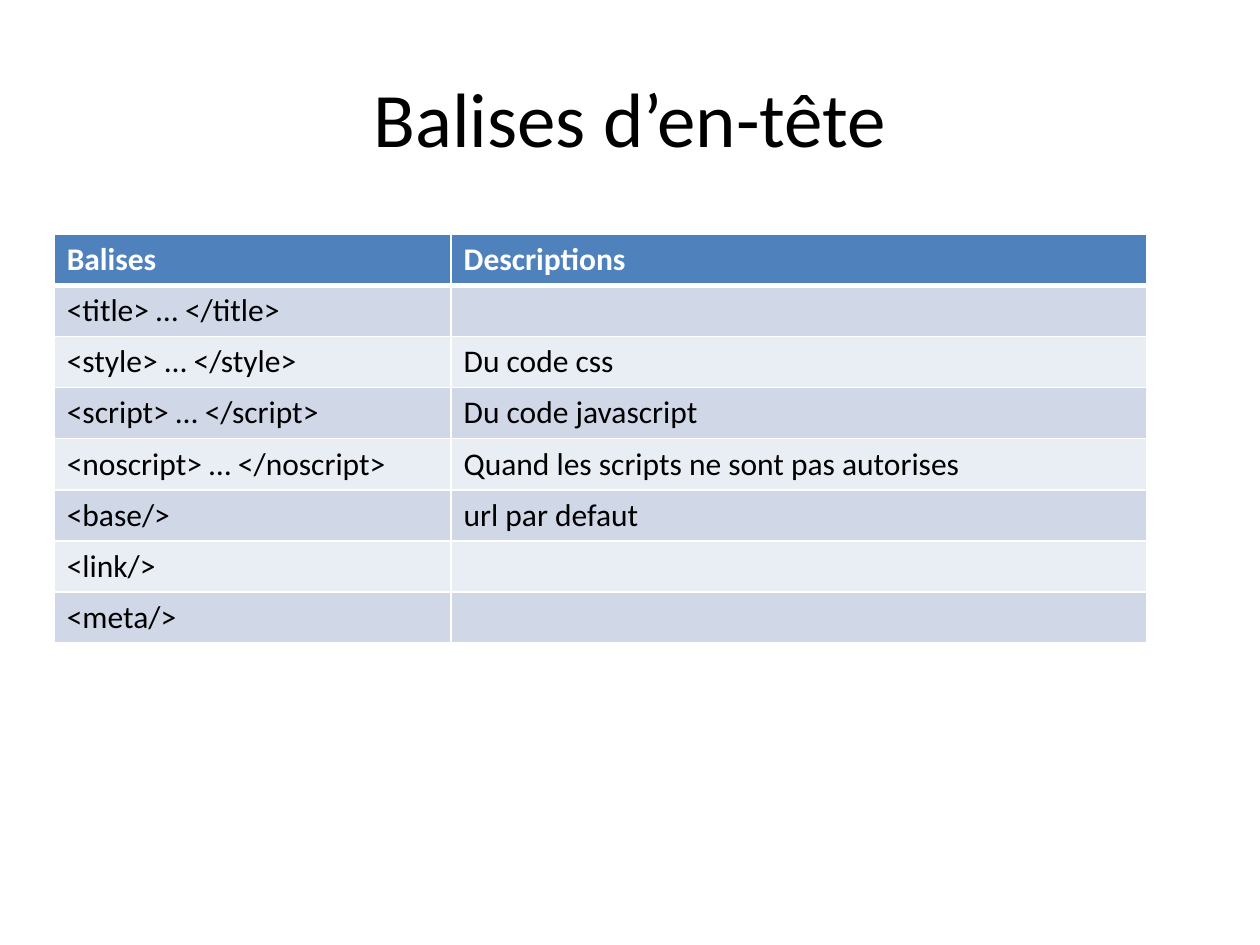
from dataclasses import dataclass

import pptx
import pptx.dml.color
import pptx.enum.text
import pptx.oxml.ns
import pptx.util
from lxml import etree

FONT = "Calibri"
COLORS = {
    "text": "000000",
    "header": "4F81BD",
    "header_text": "FFFFFF",
    "odd": "D0D8E8",
    "even": "E9EDF4",
    "rule": "FFFFFF",
}
ROW_HEIGHT = 3.24 / 8
COLUMN_WIDTHS = (3.15, 5.52)
TABLE_LEFT, TABLE_TOP = 0.43, 1.86


@dataclass
class Tag:
    markup: str
    description: str = ""


HEADER = Tag("Balises", "Descriptions")
TAGS = [
    Tag("<title> … </title>"),
    Tag("<style> … </style>", "Du code css"),
    Tag("<script> … </script>", "Du code javascript"),
    Tag("<noscript> … </noscript>", "Quand les scripts ne sont pas autorises"),
    Tag("<base/>", "url par defaut"),
    Tag("<link/>"),
    Tag("<meta/>"),
]


def rgb(name: str) -> pptx.dml.color.RGBColor:
    return pptx.dml.color.RGBColor.from_string(COLORS[name])


def add_run(paragraph, text: str, size: float, color: str, bold: bool = False) -> None:
    run = paragraph.add_run()
    run.text = text
    run.font.name = FONT
    run.font.size = pptx.util.Pt(size)
    run.font.bold = bold
    run.font.color.rgb = rgb(color)


def add_borders(cell, top: float, bottom: float) -> None:
    """Rule all four sides; top and bottom are widths in points."""
    qn = pptx.oxml.ns.qn
    properties = cell._tc.get_or_add_tcPr()
    for side, width in (("L", 1), ("R", 1), ("T", top), ("B", bottom)):
        line = etree.SubElement(properties, qn(f"a:ln{side}"), w=str(pptx.util.Pt(width)))
        fill = etree.SubElement(line, qn("a:solidFill"))
        etree.SubElement(fill, qn("a:srgbClr"), val=COLORS["rule"])


def fill_row(table, index: int, tag: Tag) -> None:
    is_header = index == 0
    band = "header" if is_header else "odd" if index % 2 else "even"
    table.rows[index].height = pptx.util.Inches(ROW_HEIGHT)
    for column, text in enumerate((tag.markup, tag.description)):
        cell = table.cell(index, column)
        add_borders(cell, top=3 if index == 1 else 1, bottom=3 if is_header else 1)
        cell.fill.solid()
        cell.fill.fore_color.rgb = rgb(band)
        if text:
            color = "header_text" if is_header else "text"
            add_run(cell.text_frame.paragraphs[0], text, 18, color, bold=is_header)


def main() -> None:
    deck = pptx.Presentation()
    deck.slide_width = pptx.util.Inches(10)
    deck.slide_height = pptx.util.Inches(7.5)
    slide = deck.slides.add_slide(deck.slide_layouts[5])

    # Title
    title = slide.shapes.title
    title.left, title.top = pptx.util.Inches(0.5), pptx.util.Inches(0.3)
    title.width, title.height = pptx.util.Inches(9), pptx.util.Inches(1.25)
    title.text_frame.vertical_anchor = pptx.enum.text.MSO_ANCHOR.MIDDLE
    heading = title.text_frame.paragraphs[0]
    heading.alignment = pptx.enum.text.PP_ALIGN.CENTER
    add_run(heading, "Balises d’en-tête", 44, "text")

    # Table of head tags
    entries = [HEADER, *TAGS]
    table = slide.shapes.add_table(
        len(entries), len(COLUMN_WIDTHS),
        pptx.util.Inches(TABLE_LEFT), pptx.util.Inches(TABLE_TOP),
        pptx.util.Inches(sum(COLUMN_WIDTHS)), pptx.util.Inches(ROW_HEIGHT * len(entries)),
    ).table
    for column, width in zip(table.columns, COLUMN_WIDTHS):
        column.width = pptx.util.Inches(width)
    for index, tag in enumerate(entries):
        fill_row(table, index, tag)

    deck.save("out.pptx")


if __name__ == "__main__":
    main()
